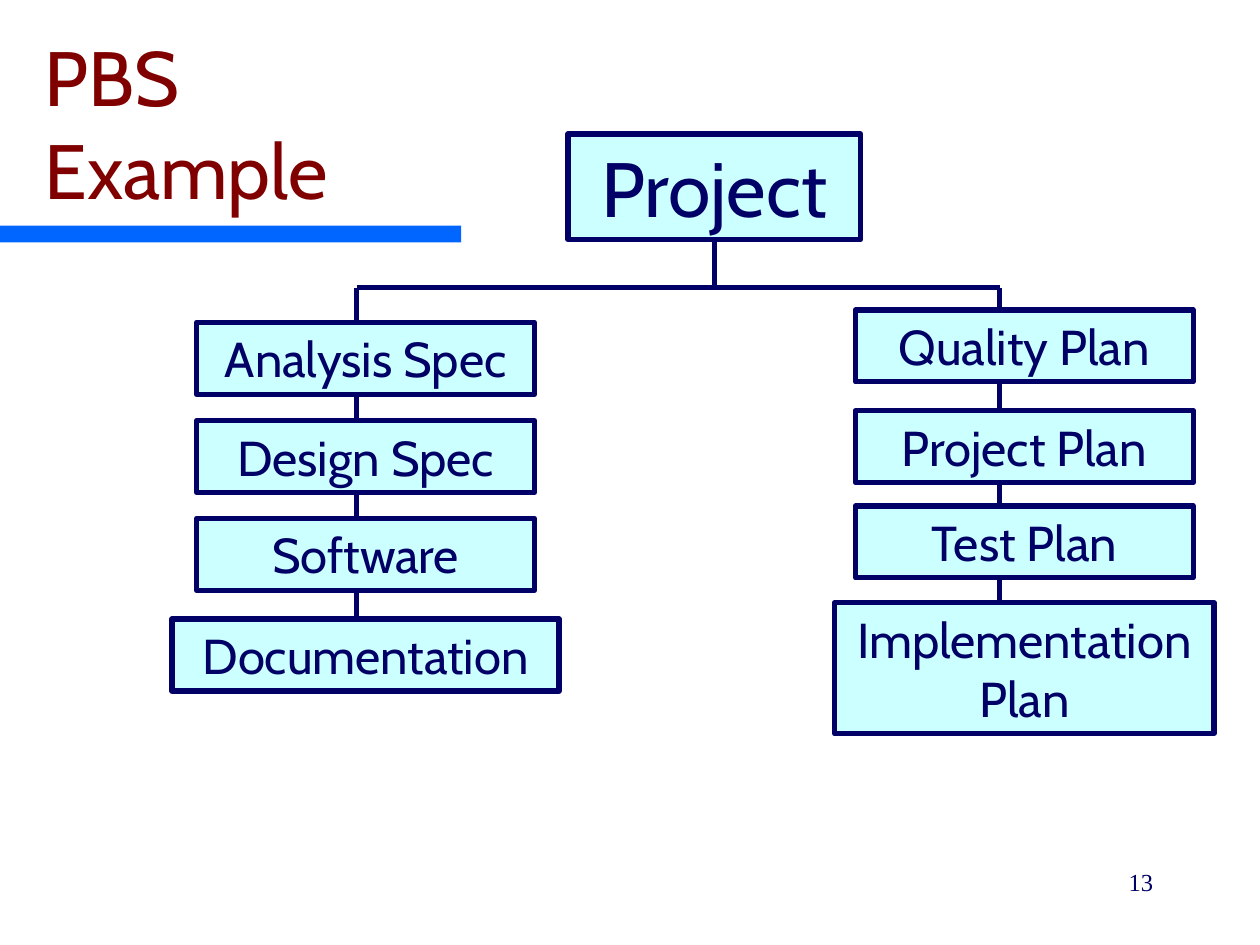
from lxml.etree import SubElement
from pptx import Presentation
from pptx.dml.color import RGBColor
from pptx.enum.shapes import MSO_CONNECTOR as Connector, MSO_SHAPE as Shape
from pptx.enum.text import MSO_ANCHOR as Anchor, MSO_AUTO_SIZE as AutoSize, PP_ALIGN as Align
from pptx.oxml.ns import qn
from pptx.util import Cm, Pt

NAVY, MAROON, BLUE, CYAN = "000066", "800000", "0066FF", "CCFFFF"
FONT = "Cabin"
TITLE = "PBS\vExample"
PAGE = "13"
ROOT = {"text": "Project", "center": 14.4, "top": 2.7, "width": 5.9, "height": 2.13}
BOX_WIDTH, BOX_HEIGHT = 6.81, 1.45
BRANCH_Y = 5.8
BRANCHES = [
    {"center": 7.37, "stem": 7.19, "boxes": [
        ("Analysis Spec", 6.5, BOX_WIDTH, BOX_HEIGHT),
        ("Design Spec", 8.48, BOX_WIDTH, BOX_HEIGHT),
        ("Software", 10.45, BOX_WIDTH, BOX_HEIGHT),
        ("Documentation", 12.48, 7.8, BOX_HEIGHT),
    ]},
    {"center": 20.65, "stem": 20.15, "boxes": [
        ("Quality Plan", 6.25, BOX_WIDTH, BOX_HEIGHT),
        ("Project Plan", 8.28, BOX_WIDTH, BOX_HEIGHT),
        ("Test Plan", 10.2, BOX_WIDTH, BOX_HEIGHT),
        ("Implementation Plan", 12.15, 7.65, 2.64),
    ]},
]


def color(value):
    return RGBColor.from_string(value)


def style_text(shape, text, size, font_color, align, anchor, font_name=FONT):
    frame = shape.text_frame
    frame.text = text
    frame.word_wrap = True
    frame.auto_size = AutoSize.NONE
    frame.vertical_anchor = anchor
    paragraph = frame.paragraphs[0]
    paragraph.alignment = align
    paragraph.font.name = font_name
    paragraph.font.size = Pt(size)
    paragraph.font.color.rgb = color(font_color)


def add_rectangle(slide, left, top, width, height, fill):
    shape = slide.shapes.add_shape(Shape.RECTANGLE, Cm(left), Cm(top), Cm(width), Cm(height))
    shape.shadow.inherit = False
    shape.fill.solid()
    shape.fill.fore_color.rgb = color(fill)
    shape.line.fill.background()
    return shape


def add_box(slide, text, center, top, width, height, size):
    shape = add_rectangle(slide, center - width / 2, top, width, height, CYAN)
    shape.line.color.rgb = color(NAVY)
    shape.line.width = Pt(3)
    style_text(shape, text, size, NAVY, Align.CENTER, Anchor.MIDDLE)


def add_line(slide, x1, y1, x2, y2):
    line = slide.shapes.add_connector(Connector.STRAIGHT, Cm(x1), Cm(y1), Cm(x2), Cm(y2))
    line.line.color.rgb = color(NAVY)
    line.line.width = Pt(3)
    SubElement(line._element.spPr, qn("a:effectLst"))


def main():
    presentation = Presentation()
    presentation.slide_width, presentation.slide_height = Cm(25.4), Cm(19.05)
    slide = presentation.slides.add_slide(presentation.slide_layouts[5])

    add_rectangle(slide, 0, 4.55, 9.3, 0.34, BLUE)
    title = slide.shapes.title
    title.left, title.top, title.width, title.height = Cm(0.64), Cm(1.27), Cm(22.86), Cm(3.18)
    style_text(title, TITLE, 44, MAROON, Align.LEFT, Anchor.BOTTOM)

    stems = [branch["stem"] for branch in BRANCHES]
    add_line(slide, stems[0], BRANCH_Y, stems[-1], BRANCH_Y)
    add_line(slide, ROOT["center"], ROOT["top"] + ROOT["height"], ROOT["center"], BRANCH_Y)
    add_box(slide, **ROOT, size=44)
    for branch in BRANCHES:
        last_top = branch["boxes"][-1][1]
        add_line(slide, branch["stem"], BRANCH_Y, branch["stem"], last_top)
        for text, top, width, height in branch["boxes"]:
            add_box(slide, text, branch["center"], top, width, height, 28)

    number = slide.shapes.add_textbox(Cm(18.2), Cm(17.35), Cm(5.3), Cm(1.27))
    style_text(number, PAGE, 14, NAVY, Align.RIGHT, Anchor.TOP, "Times New Roman")
    presentation.save("out.pptx")


if __name__ == "__main__":
    main()
